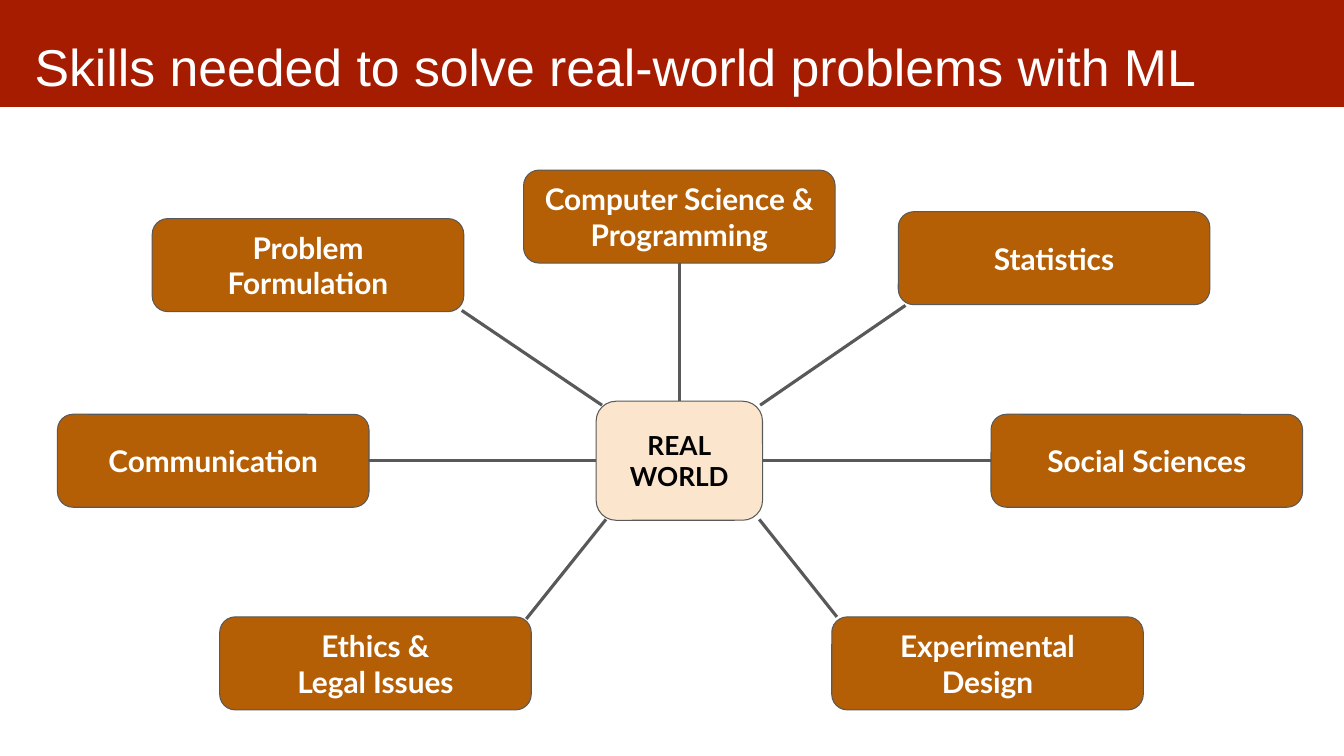
from pptx import Presentation
from pptx.dml.color import RGBColor
from pptx.enum.shapes import MSO_CONNECTOR as CONN, MSO_SHAPE as SHAPE
from pptx.enum.text import MSO_ANCHOR as ANCHOR, PP_ALIGN as ALIGN
from pptx.oxml.ns import qn
from pptx.util import Inches, Pt
from lxml.etree import SubElement

RED = RGBColor(0xA6, 0x1C, 0x00)
BROWN = RGBColor(0xB4, 0x5F, 0x06)
CREAM = RGBColor(0xFC, 0xE5, 0xCD)
GREY = RGBColor(0x59, 0x59, 0x59)
WHITE = RGBColor(0xFF, 0xFF, 0xFF)
BLACK = RGBColor(0x00, 0x00, 0x00)

HUB_X, HUB_Y = 50.55, 60.95
HUB_SIZE = 12.38, 15.75
SKILL_SIZE = 23.18, 12.3

SKILLS = [
    (["Computer Science &", "Programming"], (HUB_X, 28.65), (HUB_X, 34.8), (HUB_X, 53.05)),
    (["Statistics"], (78.43, 34.15), (67.37, 40.4), (56.56, 53.6)),
    (["Social Sciences"], (85.33, HUB_Y), (73.74, HUB_Y), (56.79, HUB_Y)),
    (["Experimental", "Design"], (73.48, 87.75), (62.27, 81.6), (56.49, 68.7)),
    (["Ethics &", "Legal Issues"], (27.94, 87.75), (39.16, 81.87), (45.09, 68.7)),
    (["Communication"], (15.87, HUB_Y), (27.38, HUB_Y), (44.34, HUB_Y)),
    (["Problem", "Formulation"], (22.92, 35.07), (34.36, 41.07), (44.79, 53.6)),
]


class Deck:
    title_font = {"name": "Arial", "size": Pt(37)}
    hub_font = {"name": "Lato", "size": Pt(18.7), "bold": True}
    skill_font = {"name": "Lato", "size": Pt(21.3), "bold": True}
    frame = {"word_wrap": True, **{f"margin_{side}": Inches(0.13)
             for side in ("left", "top", "right", "bottom")}}

    def __init__(self, prs):
        self.width, self.height = prs.slide_width, prs.slide_height
        self.s = prs.slides.add_slide(prs.slide_layouts[6])

    def at(self, x, y):
        return int(self.width * x / 100), int(self.height * y / 100)

    def text(self, sp, lines, font, color, align, anchor):
        tf = sp.text_frame
        for key, value in {**self.frame, "vertical_anchor": anchor}.items():
            setattr(tf, key, value)
        for i, line in enumerate(lines):
            p = tf.paragraphs[0] if i == 0 else tf.add_paragraph()
            p.alignment = align
            r = p.add_run()
            r.text = line
            for key, value in font.items():
                setattr(r.font, key, value)
            r.font.color.rgb = color

    def shape(self, kind, corner, size, fill):
        sp = self.s.shapes.add_shape(kind, *self.at(*corner), *self.at(*size))
        sp.shadow.inherit = False
        sp.fill.solid()
        sp.fill.fore_color.rgb = fill
        return sp

    def banner(self, corner, size, fill):
        self.shape(SHAPE.RECTANGLE, corner, size, fill).line.fill.background()

    def title(self, text, corner, size):
        sp = self.s.shapes.add_textbox(*self.at(*corner), *self.at(*size))
        self.text(sp, [text], self.title_font, WHITE, ALIGN.LEFT, ANCHOR.TOP)

    def box(self, lines, center, size, fill, font, color):
        corner = [c - length / 2 for c, length in zip(center, size)]
        sp = self.shape(SHAPE.ROUNDED_RECTANGLE, corner, size, fill)
        sp.line.color.rgb = GREY
        sp.line.width = Pt(0.75)
        self.text(sp, lines, font, color, ALIGN.CENTER, ANCHOR.MIDDLE)

    def spoke(self, start, end):
        sp = self.s.shapes.add_connector(CONN.STRAIGHT, *self.at(*start), *self.at(*end))
        sp.line.color.rgb = GREY
        sp.line.width = Pt(2.25)
        SubElement(sp._element.spPr, qn("a:effectLst"))


def main():
    prs = Presentation()
    prs.slide_width, prs.slide_height = Inches(13.33), Inches(7.5)
    deck = Deck(prs)
    deck.banner((-0.15, -0.53), (100.23, 14.67), RED)
    deck.title("Skills needed to solve real-world problems with ML", (1.6, 2.9), (93.2, 11.2))
    deck.box(["REAL", "WORLD"], (HUB_X, HUB_Y), HUB_SIZE, CREAM, deck.hub_font, BLACK)
    for lines, center, start, end in SKILLS:
        deck.box(lines, center, SKILL_SIZE, BROWN, deck.skill_font, WHITE)
        deck.spoke(start, end)
    prs.save("out.pptx")


if __name__ == "__main__":
    main()
